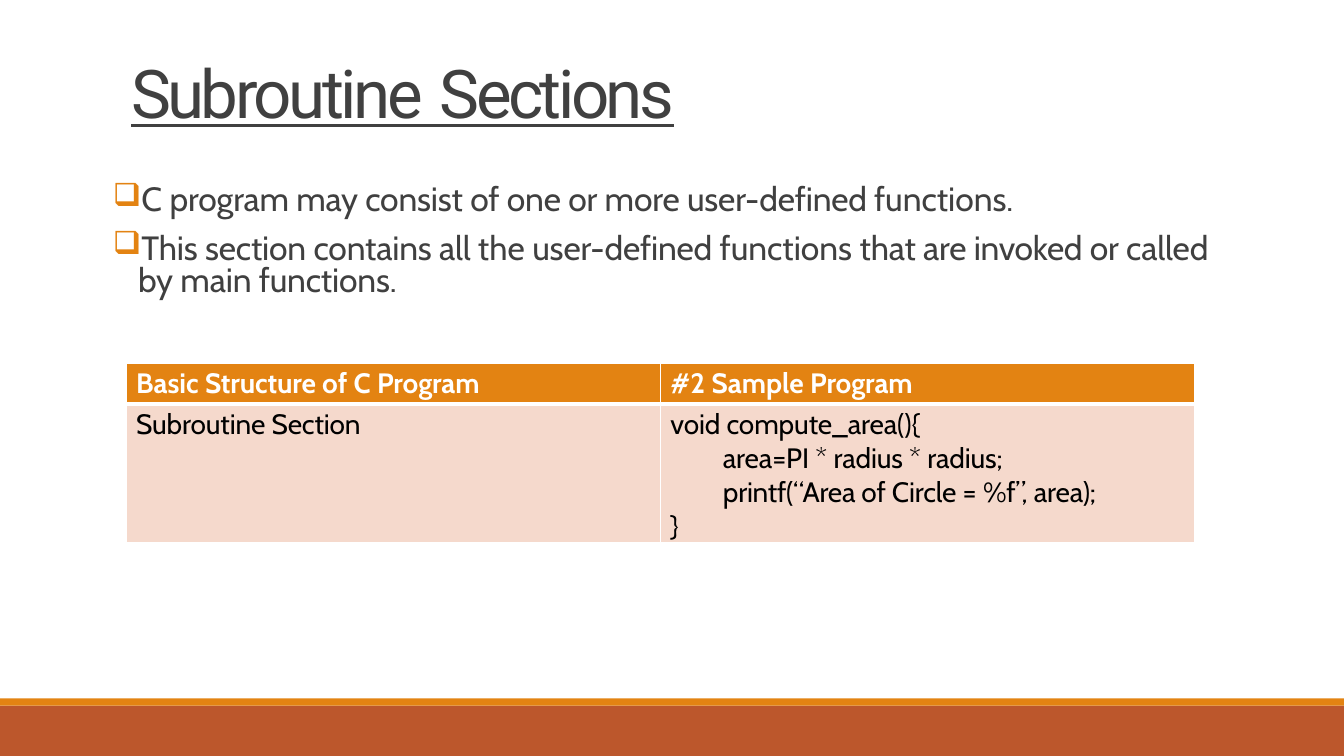
from dataclasses import dataclass
from lxml.etree import SubElement
from pptx import Presentation
from pptx.dml.color import RGBColor
from pptx.enum.shapes import MSO_SHAPE
from pptx.oxml import parse_xml
from pptx.oxml.ns import nsdecls, qn
from pptx.util import Inches, Pt


@dataclass(frozen=True)
class Theme:
    rust: str = "BC572C"
    orange: str = "E38312"
    peach: str = "F5D9CC"
    gray: str = "404040"
    white: str = "FFFFFF"
    black: str = "000000"
    head: str = "Roboto"
    body: str = "Cabin"
    big: int = 48
    mid: int = 24
    small: int = 20


THEME = Theme()


def color(code):
    return RGBColor.from_string(code)


def write(frame, parts, size=THEME.mid, font=THEME.body, ink=THEME.gray,
          bold=False, line=False, space=0, lead=None, left=0, hang=0,
          mark=None, first=False):
    para = frame.paragraphs[0] if first else frame.add_paragraph()
    para.space_before = Pt(space)
    if lead:
        para.line_spacing = Pt(lead)
    props = para._p.get_or_add_pPr()
    props.set("marL", str(Inches(left)))
    props.set("indent", str(Inches(hang)))
    if mark:
        tint = SubElement(props, qn("a:buClr"))
        SubElement(tint, qn("a:srgbClr"), val=THEME.orange)
        SubElement(props, qn("a:buSzPct"), val="95000")
        SubElement(props, qn("a:buChar"), char=mark)
        tabs = SubElement(props, qn("a:tabLst"))
        SubElement(tabs, qn("a:tab"), pos=str(Inches(left)), algn="l")
    for text, track in parts:
        run = para.add_run()
        run.text = text
        run.font.size = Pt(size)
        run.font.name = font
        run.font.bold = bold
        run.font.underline = line
        run.font.color.rgb = color(ink)
        run._r.get_or_add_rPr().set("spc", str(round(track * 100)))


def add_box(slide, left, top, width, height, inset):
    box = slide.shapes.add_textbox(
        Inches(left), Inches(top), Inches(width), Inches(height))
    frame = box.text_frame
    frame.word_wrap = True
    frame.margin_left = frame.margin_right = frame.margin_bottom = 0
    frame.margin_top = Inches(inset)
    return frame


def add_band(slide, top, height, fill):
    band = slide.shapes.add_shape(
        MSO_SHAPE.RECTANGLE, 0, Inches(top), Inches(13.33), Inches(height))
    band.shadow.inherit = False
    band.fill.solid()
    band.fill.fore_color.rgb = color(fill)
    band.line.fill.background()


def add_edges(cell, top, bottom):
    props = cell._tc.get_or_add_tcPr()
    sides = {"L": 1, "R": 1, "T": top, "B": bottom}
    for spot, (side, width) in enumerate(sides.items()):
        props.insert(spot, parse_xml(
            f'<a:ln{side} {nsdecls("a")} w="{Pt(width)}"><a:solidFill>'
            f'<a:srgbClr val="{THEME.white}"/></a:solidFill></a:ln{side}>'))


def add_grid(slide, rows):
    grid = slide.shapes.add_table(
        2, 2, Inches(1.25), Inches(3.61), Inches(10.6), Inches(1.77)).table
    grid.horz_banding = False
    for row, height in zip(grid.rows, (0.4, 1.37)):
        row.height = Inches(height)
    for y, row in enumerate(rows):
        head = y == 0
        for x, lines in enumerate(row):
            cell = grid.cell(y, x)
            cell.margin_left = cell.margin_right = cell.margin_bottom = 0
            cell.margin_top = Inches(0.03)
            cell.fill.solid()
            cell.fill.fore_color.rgb = color(
                THEME.orange if head else THEME.peach)
            add_edges(cell, 1 if head else 3, 3 if head else 1)
            for spot, (left, parts) in enumerate(lines):
                write(cell.text_frame, parts, size=THEME.small, bold=head,
                      ink=THEME.white if head else THEME.black, left=left,
                      space=0 if spot else 2.5, first=spot == 0)


def main():
    deck = Presentation()
    deck.slide_width, deck.slide_height = Inches(13.33), Inches(7.5)
    slide = deck.slides.add_slide(deck.slide_layouts[6])
    add_band(slide, 7, 0.5, THEME.rust)
    add_band(slide, 6.93, 0.07, THEME.orange)

    title = add_box(slide, 1.11, 0.5, 11.1, 0.83, 0.01)
    write(title, [("Subroutine", -2.5), (" ", -5), ("Sections", -2.5)],
          size=THEME.big, font=THEME.head, line=True, left=0.19, space=1,
          first=True)

    points = add_box(slide, 1.11, 1.6, 11.22, 1.4, 0.17)
    style = {"left": 0.26, "hang": -0.25, "mark": "❑"}
    write(points, [
        ("C ", 0),
        ("program may consist of one or more user-defined ", -0.1),
        ("functions.", 0)], space=12.6, first=True, **style)
    write(points, [
        ("This section contains all ", -0.1), ("the ", 0),
        ("user-defined ", -0.1), ("functions ", 0), ("that are ", -0.1),
        ("invoked ", -0.2), ("or called by main functions.", -0.1)],
        space=11.7, lead=22.8, **style)

    add_grid(slide, [
        [[(0.1, [("Basic ", 0), ("Structure ", -0.1), ("of C ", 0),
                 ("Program", -0.1)])],
         [(0.1, [("#2 Sample ", 0), ("Program", -0.1)])]],
        [[(0.1, [("Subroutine Section", -0.1)])],
         [(0.1, [("void compute_area(){", -0.1)]),
          (0.62, [("area=PI ", -0.1), ("* ", 0), ("radius ", -0.1),
                  ("* ", 0), ("radius;", -0.1)]),
          (0.62, [("printf(“Area ", -0.2), ("of Circle ", -0.1),
                  ("= ", 0), ("%f”, ", -0.2), ("area);", -0.1)]),
          (0.1, [("}", 0)])]],
    ])
    deck.save("out.pptx")


if __name__ == "__main__":
    main()
